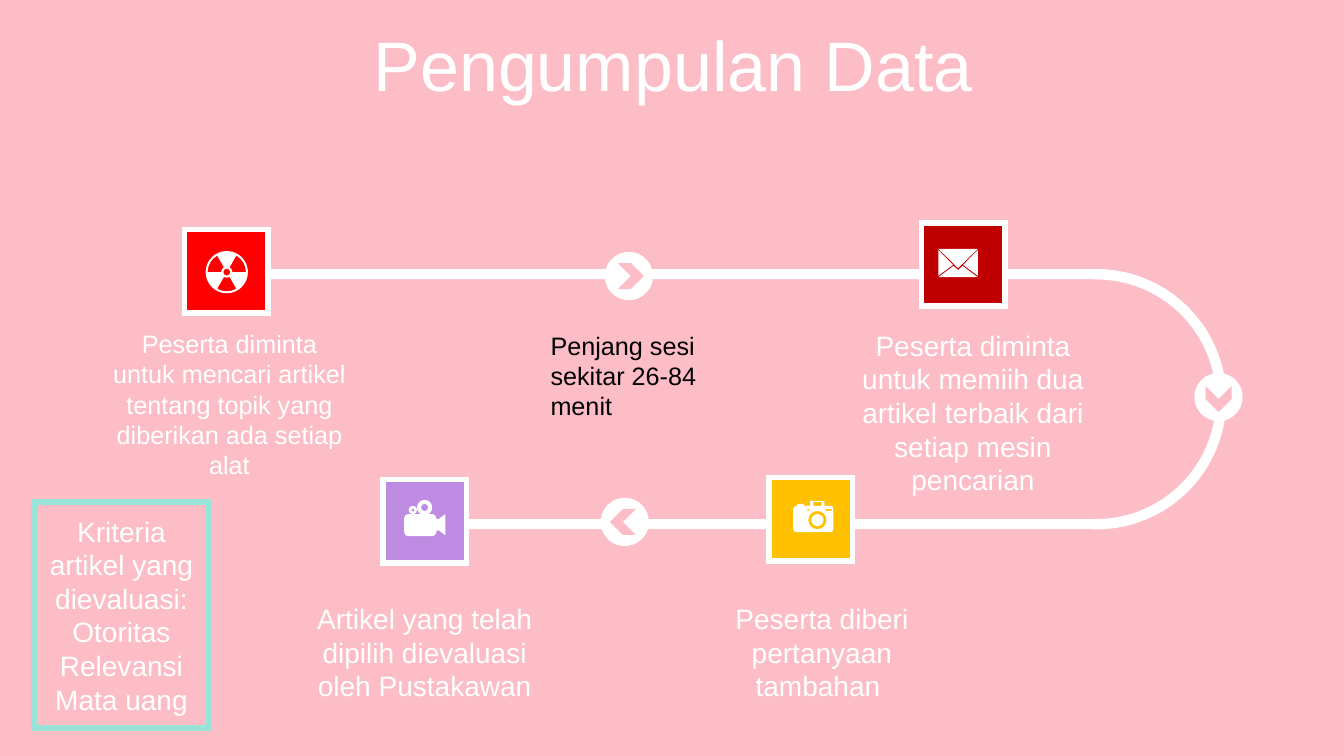
from dataclasses import dataclass
from math import ceil, cos, radians, sin, tan

from lxml.etree import SubElement
from pptx import Presentation
from pptx.dml.color import RGBColor
from pptx.enum.shapes import MSO_SHAPE
from pptx.enum.text import MSO_ANCHOR, PP_ALIGN
from pptx.oxml.ns import qn
from pptx.shapes.autoshape import Shape
from pptx.shapes.shapetree import GroupShapes, SlideShapes
from pptx.util import Pt

COLORS = {
    "pink": "FDBDC7", "white": "FFFFFF", "black": "000000", "red": "FF0000",
    "crimson": "C00000", "violet": "BE8BE2", "amber": "FFC000", "mint": "96E5D8",
}
FONT = "Arial"
STATION_SIZE = 59.6
MARKER_SIZE = 34.4
CHEVRON_SIZE = 18.6
CHEVRON_SHIFT = 1.4
TRACK_WIDTH = 7.2

Point = tuple[float, float]
Segment = tuple[Point, ...]
Contour = list[Segment]


@dataclass(frozen=True)
class Box:
    left: float
    top: float
    width: float
    height: float


@dataclass(frozen=True)
class Station:
    left: float
    top: float
    color: str


@dataclass(frozen=True)
class Marker:
    left: float
    top: float
    rotation: int


@dataclass(frozen=True)
class Caption:
    box: Box
    text: str
    size: int = 20
    color: str = "white"
    alignment: PP_ALIGN = PP_ALIGN.CENTER


@dataclass(frozen=True)
class Icon:
    left: float
    top: float
    contours: list[Contour]


def polygon(*points: Point) -> Contour:
    return [(point,) for point in points]


def arc(x: float, y: float, radius: float, start: float = 0, end: float = 360) -> Contour:
    count = ceil(abs(end - start) / 90)
    step = radians(end - start) / count
    pull = 4 / 3 * tan(step / 4)

    def on_arc(angle: float, bend: float = 0) -> Point:
        return (x + radius * (cos(angle) - bend * sin(angle)), y + radius * (sin(angle) + bend * cos(angle)))

    angles = [radians(start) + step * index for index in range(count + 1)]
    curves = [(on_arc(a, pull), on_arc(b, -pull), on_arc(b)) for a, b in zip(angles, angles[1:])]
    return [(on_arc(angles[0]),), *curves]


def sector(x: float, y: float, inner: float, outer: float, start: float) -> Contour:
    return arc(x, y, outer, start, start + 60) + arc(x, y, inner, start + 60, start)


def rectangle(left: float, top: float, right: float, bottom: float) -> Contour:
    return polygon((left, top), (right, top), (right, bottom), (left, bottom))


def rounded(left: float, top: float, right: float, bottom: float, radius: float) -> Contour:
    corners = rectangle(left + radius, top + radius, right - radius, bottom - radius)
    return [
        segment
        for index, ((x, y),) in enumerate(corners)
        for segment in arc(x, y, radius, 180 + index * 90, 270 + index * 90)
    ]


STATIONS = [
    Station(131.8, 164, "red"),
    Station(658.3, 159.1, "crimson"),
    Station(273.6, 342.6, "violet"),
    Station(549.4, 341.2, "amber"),
]
MARKERS = [Marker(432, 180, 0), Marker(853.2, 266.4, 90), Marker(429.1, 355.6, 180)]
TRACK_BARS = [Box(191.5, 192.2, 595.4, TRACK_WIDTH), Box(334.1, 370.8, 450.7, TRACK_WIDTH)]
TRACK_BEND = Box(690, 192.2, 186, 186)
TITLE = Caption(Box(25.3, 22.3, 911.5, 56.9), "Pengumpulan Data", 50)
CAPTIONS = [
    Caption(
        Box(70.3, 231, 187.2, 116.6),
        "Peserta diminta untuk mencari artikel tentang topik yang diberikan ada setiap alat",
        18,
    ),
    Caption(
        Box(601.4, 230.9, 187.2, 128.2),
        "Peserta diminta untuk memiih dua artikel terbaik dari setiap mesin pencarian",
    ),
    Caption(Box(209.8, 426.2, 187.2, 79.9), "Artikel yang telah dipilih dievaluasi oleh Pustakawan"),
    Caption(Box(493.5, 426.2, 187.2, 79.9), "Peserta diberi pertanyaan tambahan "),
    Caption(
        Box(386.2, 232.3, 132.5, 72.7), "Penjang sesi sekitar 26-84 menit", 18, "black", PP_ALIGN.LEFT
    ),
]
CRITERIA_BOX = Box(24.5, 358.6, 124.6, 161.3)
CRITERIA = ["Kriteria artikel yang dievaluasi:", "Otoritas", "Relevansi", "Mata uang"]

RADIATION = Icon(146.9, 179.3, [
    arc(15.1, 15.1, 15.1),
    arc(15.1, 15.1, 2.5),
    *[sector(15.1, 15.1, 4, 13.7, start) for start in (60, 180, 300)],
])
ENVELOPE = Icon(670.3, 177.8, [
    polygon((0, 0), (28.1, 0), (14.05, 13.7)),
    polygon((0, 0.9), (10.4, 11.4), (0, 19.1)),
    polygon((28.1, 0.9), (28.1, 19.1), (17.7, 11.4)),
    polygon((17.3, 12.1), (28.1, 20.2), (0, 20.2), (10.8, 12.1), (14.05, 15.1)),
])
CAMCORDER = Icon(288.7, 357.1, [
    rounded(0, 10.1, 23, 25.9, 2.9),
    polygon((23, 13.7), (24.5, 13.7), (29.5, 10.1), (29.5, 25.2), (24.5, 21.6), (23, 22.3)),
    arc(14.6, 5.4, 5.4, 120, 420),
    arc(14.6, 5.4, 2.6),
    arc(6.2, 7.2, 3, 105, 435),
    arc(6.2, 7.2, 1.3),
])
CAMERA = Icon(566.6, 357.8, [
    rounded(0, 3.6, 28.8, 22.3, 2.2),
    rectangle(12.2, 0, 22.3, 3.6),
    rectangle(14.4, 0.7, 20.2, 3.6),
    rectangle(2.9, 2.2, 7.9, 3.6),
    rectangle(10.1, 5.8, 11.5, 7.2),
    rectangle(23, 5.8, 27.4, 7.2),
    arc(17.3, 13.7, 6.5),
    arc(17.3, 13.7, 4.3),
])


def color(name: str) -> RGBColor:
    return RGBColor.from_string(COLORS[name])


def paint(shape: Shape, fill: str, line: str | None = None) -> None:
    shape.shadow.inherit = False
    shape.fill.solid()
    shape.fill.fore_color.rgb = color(fill)
    if line is None:
        shape.line.fill.background()
    else:
        shape.line.color.rgb = color(line)
        shape.line.width = Pt(4)
        SubElement(shape.element.spPr.find(qn("a:ln")), qn("a:miter"), lim="800000")


def add_block(
    shapes: SlideShapes | GroupShapes, kind: MSO_SHAPE, box: Box, fill: str, line: str | None = None
) -> Shape:
    shape = shapes.add_shape(kind, Pt(box.left), Pt(box.top), Pt(box.width), Pt(box.height))
    paint(shape, fill, line)
    return shape


def write(
    shape: Shape, lines: list[str], size: int, font_color: str, alignment: PP_ALIGN, anchor: MSO_ANCHOR
) -> None:
    frame = shape.text_frame
    frame.word_wrap = True
    frame.vertical_anchor = anchor
    for index, line in enumerate(lines):
        paragraph = frame.add_paragraph() if index else frame.paragraphs[0]
        paragraph.alignment = alignment
        run = paragraph.add_run()
        run.text = line
        run.font.name = FONT
        run.font.size = Pt(size)
        run.font.color.rgb = color(font_color)


def add_caption(shapes: SlideShapes, caption: Caption, anchor: MSO_ANCHOR = MSO_ANCHOR.TOP) -> Shape:
    box = caption.box
    shape = shapes.add_textbox(Pt(box.left), Pt(box.top), Pt(box.width), Pt(box.height))
    write(shape, [caption.text], caption.size, caption.color, caption.alignment, anchor)
    return shape


def add_track(shapes: SlideShapes) -> None:
    track = shapes.add_group_shape().shapes
    bend = add_block(track, MSO_SHAPE.BLOCK_ARC, TRACK_BEND, "white")
    for index, value in enumerate((161.27, 54.9, 0.04)):
        bend.adjustments[index] = value
    for bar in TRACK_BARS:
        add_block(track, MSO_SHAPE.RECTANGLE, bar, "white")


def add_marker(shapes: SlideShapes, marker: Marker) -> None:
    group = shapes.add_group_shape().shapes
    add_block(group, MSO_SHAPE.OVAL, Box(marker.left, marker.top, MARKER_SIZE, MARKER_SIZE), "white")
    margin = (MARKER_SIZE - CHEVRON_SIZE) / 2
    angle = radians(marker.rotation)
    left = marker.left + margin + CHEVRON_SHIFT * cos(angle)
    top = marker.top + margin + CHEVRON_SHIFT * sin(angle)
    chevron = add_block(group, MSO_SHAPE.CHEVRON, Box(left, top, CHEVRON_SIZE, CHEVRON_SIZE), "pink")
    chevron.rotation = marker.rotation


def add_icon(shapes: SlideShapes, icon: Icon) -> None:
    outlines = [
        [[(Pt(icon.left + x), Pt(icon.top + y)) for x, y in segment] for segment in contour]
        for contour in icon.contours
    ]
    builder = shapes.build_freeform(*outlines[0][0][-1])
    for index, outline in enumerate(outlines):
        if index:
            builder.move_to(*outline[0][-1])
        builder.add_line_segments([segment[-1] for segment in outline[1:]], close=True)
    shape = builder.convert_to_shape()
    paint(shape, "white")
    lines = list(shape.element.iter(qn("a:lnTo")))
    segments = [segment for outline in outlines for segment in outline[1:]]
    for line, segment in zip(lines, segments):
        if len(segment) == 3:
            line.tag = qn("a:cubicBezTo")
            for position, (x, y) in enumerate(segment[:2]):
                control = SubElement(line, qn("a:pt"), x=str(x - shape.left), y=str(y - shape.top))
                line.insert(position, control)


def main() -> None:
    presentation = Presentation()
    presentation.slide_width, presentation.slide_height = Pt(960), Pt(540)
    slide = presentation.slides.add_slide(presentation.slide_layouts[6])
    slide.background.fill.solid()
    slide.background.fill.fore_color.rgb = color("pink")
    shapes = slide.shapes
    title = add_caption(shapes, TITLE, MSO_ANCHOR.MIDDLE).text_frame.paragraphs[0]
    title.line_spacing = 0.8
    title.space_before = Pt(10)
    add_track(shapes)
    for station in STATIONS:
        box = Box(station.left, station.top, STATION_SIZE, STATION_SIZE)
        add_block(shapes, MSO_SHAPE.RECTANGLE, box, station.color, "white")
    criteria = add_block(shapes, MSO_SHAPE.RECTANGLE, CRITERIA_BOX, "pink", "mint")
    write(criteria, CRITERIA, 20, "white", PP_ALIGN.CENTER, MSO_ANCHOR.MIDDLE)
    for marker in MARKERS:
        add_marker(shapes, marker)
    for caption in CAPTIONS:
        add_caption(shapes, caption)
    for icon in (RADIATION, ENVELOPE, CAMCORDER, CAMERA):
        add_icon(shapes, icon)
    presentation.save("out.pptx")


if __name__ == "__main__":
    main()
